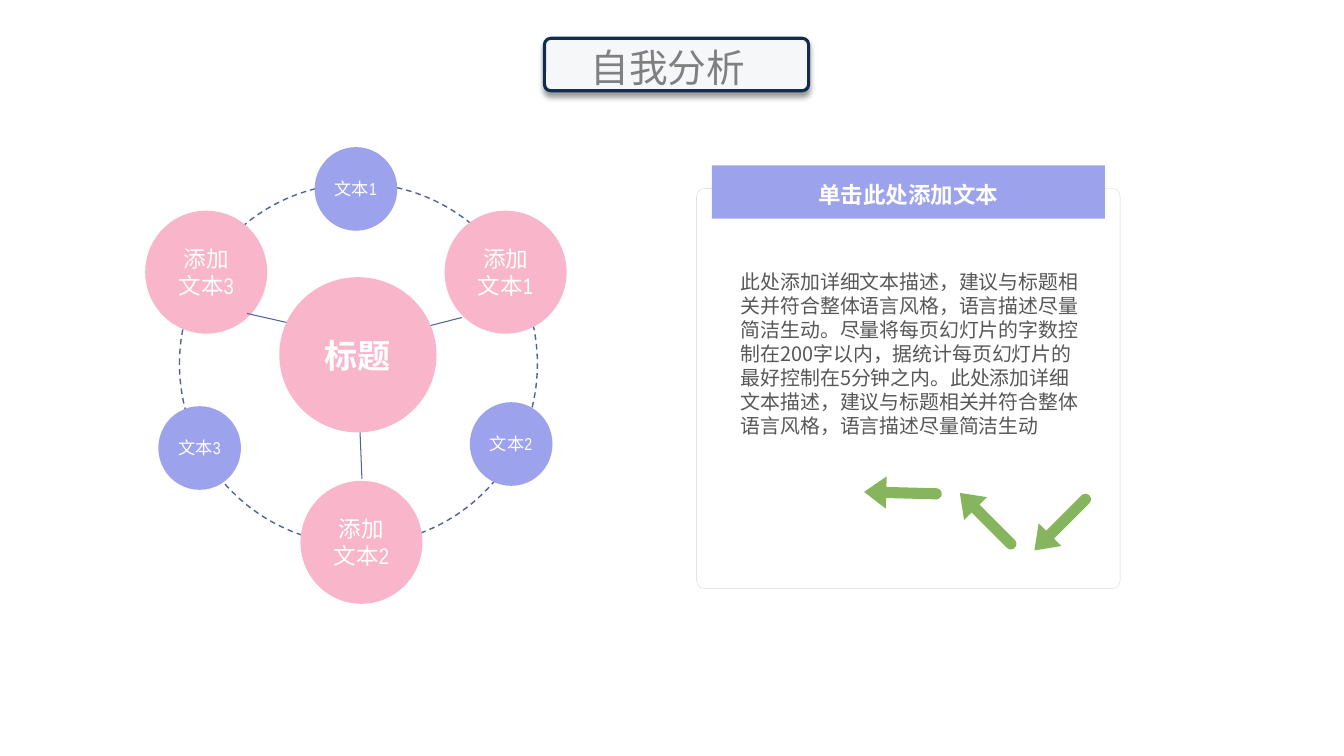
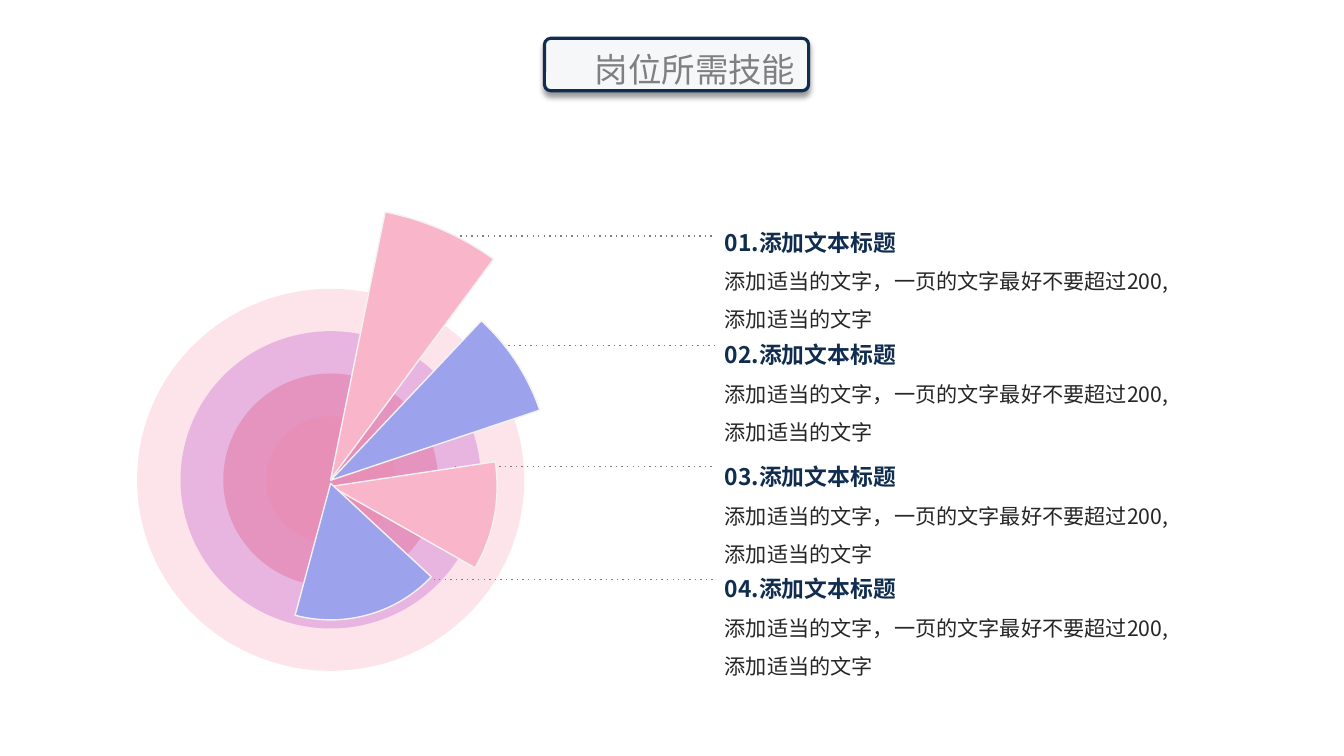
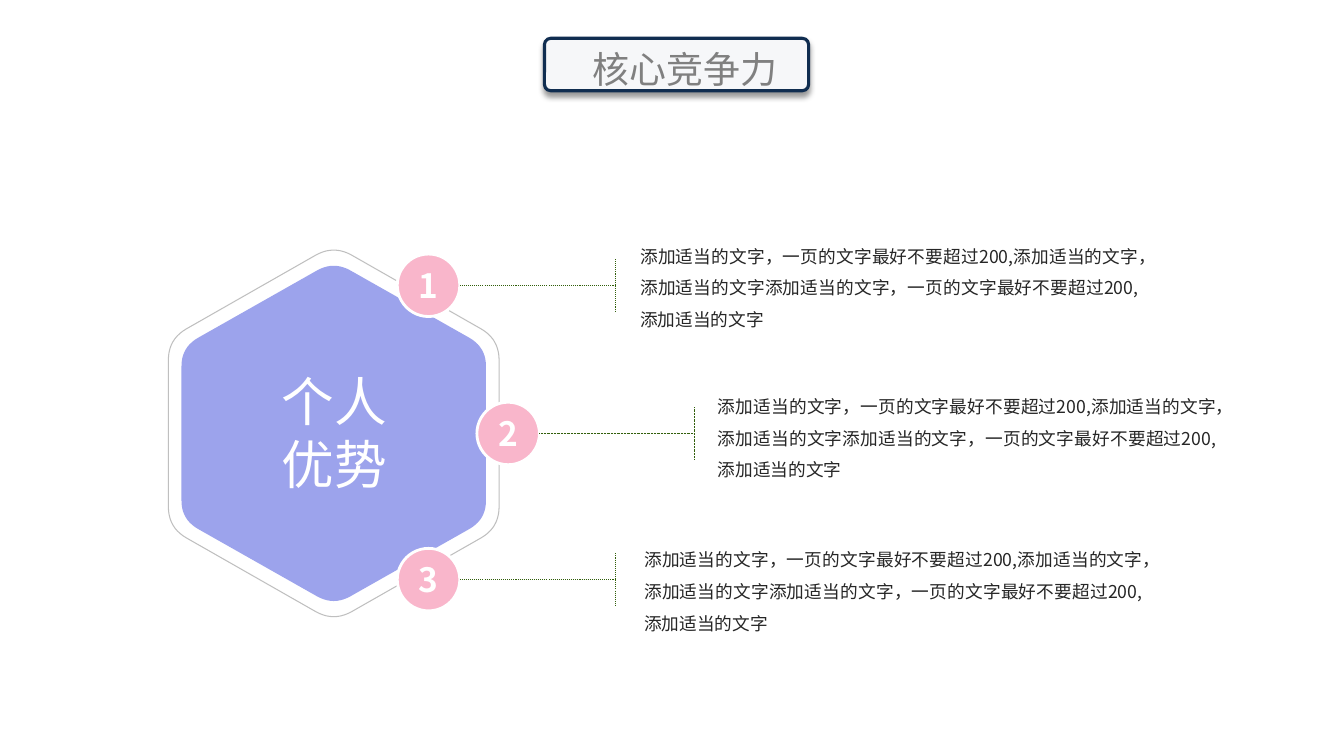
import math

from lxml import etree
from pptx import Presentation
from pptx import util as u
from pptx.dml.color import RGBColor
from pptx.enum import dml, shapes, text
from pptx.oxml.ns import qn

COLORS = {
    "white": "FFFFFF", "pink": "F9B6CB", "lilac": "9CA3EC", "navy": "102D50",
    "title_fill": "F6F7F9", "title_text": "808080", "panel_line": "D7D7D7",
    "orbit": "4E639C", "body": "575757", "dark": "262626", "arrow": "86B55E",
    "leader": "7E7E7E", "pie_line": "F2F2F2", "stem": "325F0B",
    "hexagon_line": "BFBFBF", "ring_pale": "FBA6C0", "ring_purple": "BA4BC7",
    "ring_red": "DE4B76", "ring_core": "F284AB", "black": "000000",
}
CJK = "Noto Sans CJK SC"
NARROW = "Arial Narrow"
SHAPE = shapes.MSO_SHAPE
ALIGN = text.PP_ALIGN


def rgb(color):
    return RGBColor.from_string(COLORS[color])


def style_line(shape, color, width, dash=None):
    shape.line.color.rgb = rgb(color)
    shape.line.width = u.Pt(width)
    if dash:
        shape.line.dash_style = dml.MSO_LINE.DASH
        next(shape.element.iter(qn("a:prstDash"))).set("val", dash)


def style_shape(shape, fill=None, line=None, alpha=None):
    shape.shadow.inherit = False
    if fill:
        shape.fill.solid()
        shape.fill.fore_color.rgb = rgb(fill)
    else:
        shape.fill.background()
    if alpha:
        color = next(shape.element.spPr.iter(qn("a:srgbClr")))
        etree.SubElement(color, qn("a:alpha"), val=str(alpha * 1000))
    if line:
        style_line(shape, *line)
    else:
        shape.line.fill.background()
    return shape


def add_shape(slide, kind, box, fill=None, line=None, alpha=None):
    shape = slide.shapes.add_shape(kind, *map(u.Inches, box))
    return style_shape(shape, fill, line, alpha)


def add_polygon(slide, points, fill=None, line=None):
    corners = [(u.Inches(x), u.Inches(y)) for x, y in points]
    builder = slide.shapes.build_freeform(*corners[0])
    builder.add_line_segments(corners[1:], close=True)
    return style_shape(builder.convert_to_shape(), fill, line)


def add_line(slide, start, end, color, width, dash=None):
    line = slide.shapes.add_connector(
        shapes.MSO_CONNECTOR.STRAIGHT, *map(u.Inches, (*start, *end)))
    style_line(line, color, width, dash)
    etree.SubElement(line.element.spPr, qn("a:effectLst"))


def write_paragraph(paragraph, content, size, color, bold=False, align=ALIGN.LEFT,
                    spacing=None, font=CJK):
    paragraph.text = content
    paragraph.alignment = align
    if spacing:
        paragraph.line_spacing = spacing
    paragraph.font.size = u.Pt(size)
    paragraph.font.bold = bold
    paragraph.font.color.rgb = rgb(color)
    paragraph.font.name = font
    for properties in paragraph.font._element.iter(qn("a:defRPr")):
        etree.SubElement(properties, qn("a:ea"), typeface=CJK)


def add_label(shape, content, size, bold=False, font=CJK, wrap=True, spacing=None):
    frame = shape.text_frame
    frame.word_wrap = wrap
    frame.vertical_anchor = text.MSO_ANCHOR.MIDDLE
    write_paragraph(frame.paragraphs[0], content, size, "white", bold,
                    ALIGN.CENTER, spacing, font)


def add_text(slide, box, paragraphs, inset=True):
    frame = slide.shapes.add_textbox(*map(u.Inches, box)).text_frame
    frame.word_wrap = True
    frame.auto_size = text.MSO_AUTO_SIZE.SHAPE_TO_FIT_TEXT
    if not inset:
        frame.margin_left = frame.margin_right = 0
        frame.margin_top = frame.margin_bottom = 0
    for index, settings in enumerate(paragraphs):
        paragraph = frame.add_paragraph() if index else frame.paragraphs[0]
        write_paragraph(paragraph, **settings)


def add_title(slide, content, left, top, size):
    plate = add_shape(slide, SHAPE.ROUNDED_RECTANGLE, (5.4, 0.38, 2.62, 0.52),
                      "title_fill", ("navy", 2.25))
    plate.adjustments[0] = 0.12
    effects = plate.element.spPr.find(qn("a:effectLst"))
    shadow = etree.SubElement(effects, qn("a:outerShdw"), blurRad=str(u.Pt(4)),
                              dist=str(u.Pt(3)), dir="5400000", rotWithShape="0")
    color = etree.SubElement(shadow, qn("a:srgbClr"), val=COLORS["black"])
    etree.SubElement(color, qn("a:alpha"), val="40000")
    add_text(slide, (left, top, 2.89, 0.55),
             [dict(content=content, size=size, color="title_text")])


def add_arrow(slide, tip, degrees):
    length, head, half_head, half_shaft = 0.77, 0.22, 0.16, 0.055
    tail = [(length - half_shaft + half_shaft * math.cos(math.radians(a)),
             half_shaft * math.sin(math.radians(a))) for a in range(-90, 91, 15)]
    outline = [(0, 0), (head, -half_head), (head, -half_shaft), *tail,
               (head, half_shaft), (head, half_head)]
    cosine, sine = math.cos(math.radians(degrees)), math.sin(math.radians(degrees))
    add_polygon(slide, [(tip[0] + x * cosine - y * sine, tip[1] + x * sine + y * cosine)
                        for x, y in outline], "arrow")


def add_hexagon(slide, half_width, half_height, fill=None, line=None):
    center_x, center_y, cut, steps = 3.31, 4.3, 0.11, 10
    vertices = [(center_x + half_width * x, center_y + half_height * y)
                for x, y in ((0, -1), (1, -0.5), (1, 0.5), (0, 1), (-1, 0.5), (-1, -0.5))]
    points = []
    for index, vertex in enumerate(vertices):
        before, after = vertices[index - 1], vertices[(index + 1) % 6]
        for step in range(steps + 1):
            t = step / steps
            points.append([v + cut * ((1 - t) ** 2 * (b - v) + t ** 2 * (a - v))
                           for b, v, a in zip(before, vertex, after)])
    add_polygon(slide, points, fill, line)


def build_self_analysis(slide):
    panel = add_shape(slide, SHAPE.ROUNDED_RECTANGLE, (6.91, 1.87, 4.2, 3.97),
                      "white", ("panel_line", 0.25))
    panel.adjustments[0] = 0.02
    add_shape(slide, SHAPE.OVAL, (1.78, 1.82, 3.55, 3.58), line=("orbit", 1, "dash"))
    for number, left, top in ((3, 1.44, 2.09), (1, 4.41, 2.09), (2, 2.98, 4.77)):
        circle = add_shape(slide, SHAPE.OVAL, (left, top, 1.21, 1.22), "pink")
        add_label(circle, f"添加文本{number}", 16.1, font=NARROW)
    for number, left, top in ((1, 3.12, 1.46), (2, 4.66, 3.99), (3, 1.57, 4.03)):
        circle = add_shape(slide, SHAPE.OVAL, (left, top, 0.82, 0.83), "lilac")
        add_label(circle, f"文本{number}", 12.3, font=NARROW, wrap=False)
    for start, end in (((3.59, 4.75), (3.57, 4.26)), ((4.58, 3.15), (4.15, 3.26)),
                       ((2.45, 3.11), (2.98, 3.23))):
        add_line(slide, start, end, "orbit", 0.75)
    header = add_shape(slide, SHAPE.RECTANGLE, (7.06, 1.64, 3.9, 0.53), "lilac")
    add_label(header, "单击此处添加文本", 16.1, bold=True, spacing=1.2)
    hub = add_shape(slide, SHAPE.OVAL, (2.77, 2.75, 1.56, 1.54), "pink")
    add_label(hub, "标题", 23.7, bold=True, font=NARROW, wrap=False)
    advice = "此处添加详细文本描述，建议与标题相关并符合整体语言风格，语言描述尽量简洁生动"
    limits = "尽量将每页幻灯片的字数控制在200字以内，据统计每页幻灯片的最好控制在5分钟之内"
    add_text(slide, (7.25, 2.63, 3.58, 1.78),
             [dict(content=f"{advice}。{limits}。{advice}", size=14.2, color="body")])
    for tip, degrees in (((9.52, 4.89), 45), ((10.26, 5.46), -45), ((8.57, 4.88), 1.5)):
        add_arrow(slide, tip, degrees)


def build_skills(slide):
    center_x, center_y = 3.28, 4.76
    for width, height, color in ((3.84, 3.79, "ring_pale"), (2.98, 2.95, "ring_purple"),
                                 (2.13, 2.11, "ring_red"), (1.28, 1.26, "ring_core")):
        add_shape(slide, SHAPE.OVAL,
                  (center_x - width / 2, center_y - height / 2, width, height),
                  color, alpha=30)
    skills = ((4.51, 2.34, 2.08), (4.93, 3.43, 3.2), (4.51, 4.63, 4.41), (4.19, 5.75, 5.52))
    for number, (line_left, line_top, text_top) in enumerate(skills, 1):
        add_line(slide, (line_left, line_top), (7.1, line_top), "leader", 1, "dot")
        add_text(slide, (7.09, text_top, 4.8, 1.27), [
            dict(content=f"{number:02}.添加文本标题", size=16.3, color="navy",
                 bold=True, spacing=1.5),
            dict(content="添加适当的文字，一页的文字最好不要超过200,添加适当的文字",
                 size=15.1, color="dark", spacing=1.5)])
    for box, start, end, color in (
            ((0.54, 2.05, 5.48, 5.41), 281.52, 306.49, "pink"),
            ((1.09, 2.6, 4.38, 4.33), 313.35, 341.45, "lilac"),
            ((1.64, 3.2, 3.29, 3.25), 351.45, 29.55, "pink"),
            ((1.91, 3.44, 2.74, 2.71), 42.89, 105.07, "lilac")):
        wedge = add_shape(slide, SHAPE.PIE, box, color, ("pie_line", 1))
        wedge.adjustments[0] = start * 0.6
        wedge.adjustments[1] = end * 0.6


def build_strengths(slide):
    add_hexagon(slide, 1.51, 1.71, fill="lilac")
    add_text(slide, (2.55, 3.66, 1.53, 1.27),
             [dict(content="个人优势", size=37.6, color="white", align=ALIGN.CENTER)],
             inset=False)
    add_hexagon(slide, 1.64, 1.87, line=("hexagon_line", 0.75))
    phrase = "添加适当的文字"
    limit = "一页的文字最好不要超过200"
    description = f"{phrase}，{limit},{phrase}，{phrase}{phrase}，{limit},{phrase}"
    diameter, reach, half_stem = 0.62, 1.54, 0.26
    strengths = ((3.94, 2.83, 6.35, 2.33, 0.75), (4.73, 4.3, 7.12, 3.82, 0.5),
                 (3.94, 5.75, 6.39, 5.34, 0.75))
    for number, (left, middle, text_left, text_top, weight) in enumerate(strengths, 1):
        badge = add_shape(slide, SHAPE.OVAL,
                          (left, middle - diameter / 2, diameter, diameter),
                          "pink", ("white", 2))
        add_label(badge, str(number), 23.9, bold=True)
        right = left + diameter
        stem = right + reach
        add_line(slide, (right, middle), (stem, middle), "stem", weight, "sysDot")
        add_line(slide, (stem, middle - half_stem), (stem, middle + half_stem),
                 "stem", weight, "sysDot")
        add_text(slide, (text_left, text_top, 4.94, 0.95),
                 [dict(content=description, size=12.6, color="dark",
                       align=ALIGN.JUSTIFY, spacing=1.5)], inset=False)


def main():
    presentation = Presentation()
    presentation.slide_width = u.Inches(13.33)
    presentation.slide_height = u.Inches(7.5)
    for build, *title in (
            (build_self_analysis, "自我分析", 5.76, 0.39, 27.6),
            (build_skills, "岗位所需技能", 5.8, 0.44, 23.9),
            (build_strengths, "核心竞争力", 5.78, 0.41, 26.4)):
        slide = presentation.slides.add_slide(presentation.slide_layouts[6])
        add_title(slide, *title)
        build(slide)
    presentation.save("out.pptx")


if __name__ == "__main__":
    main()
